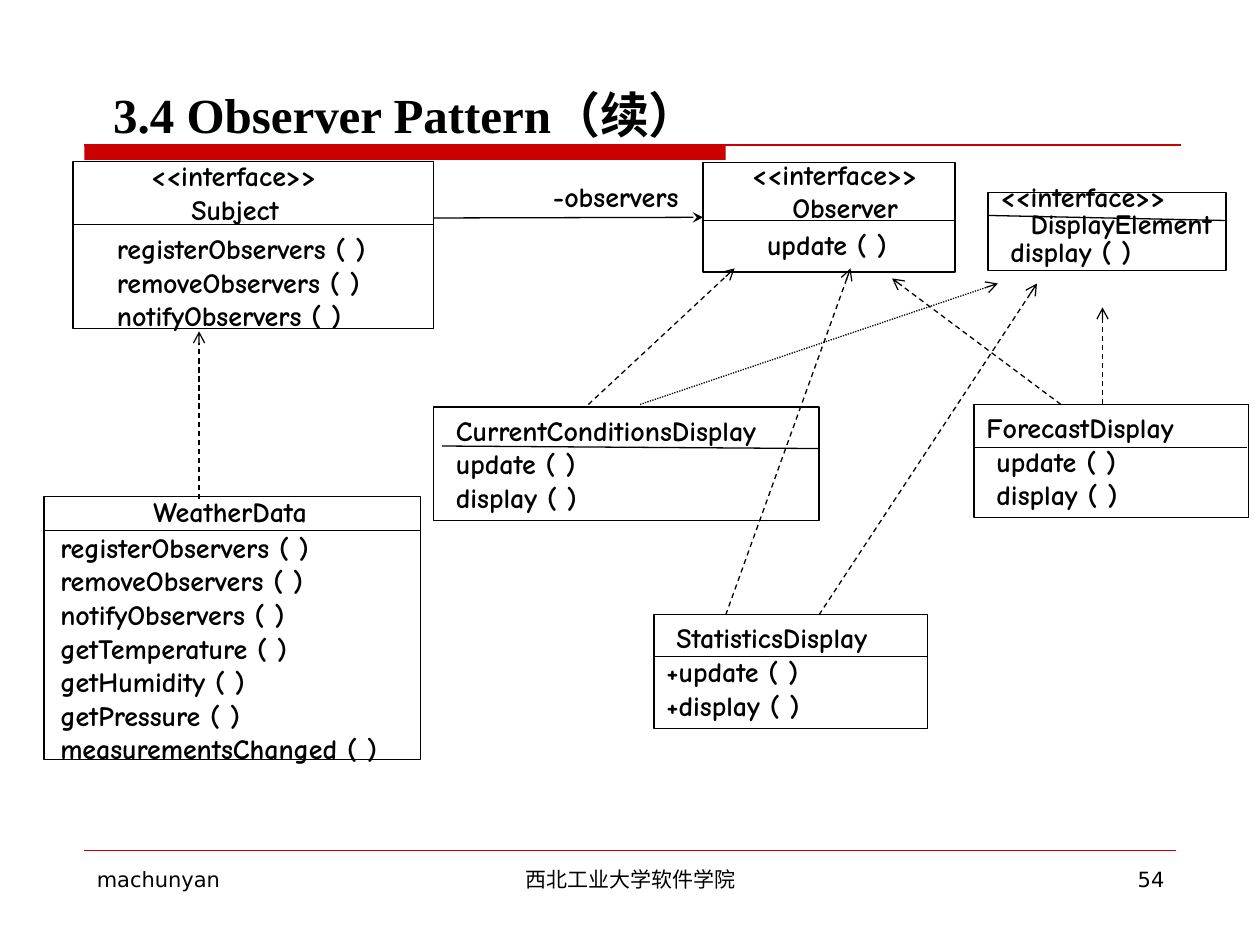
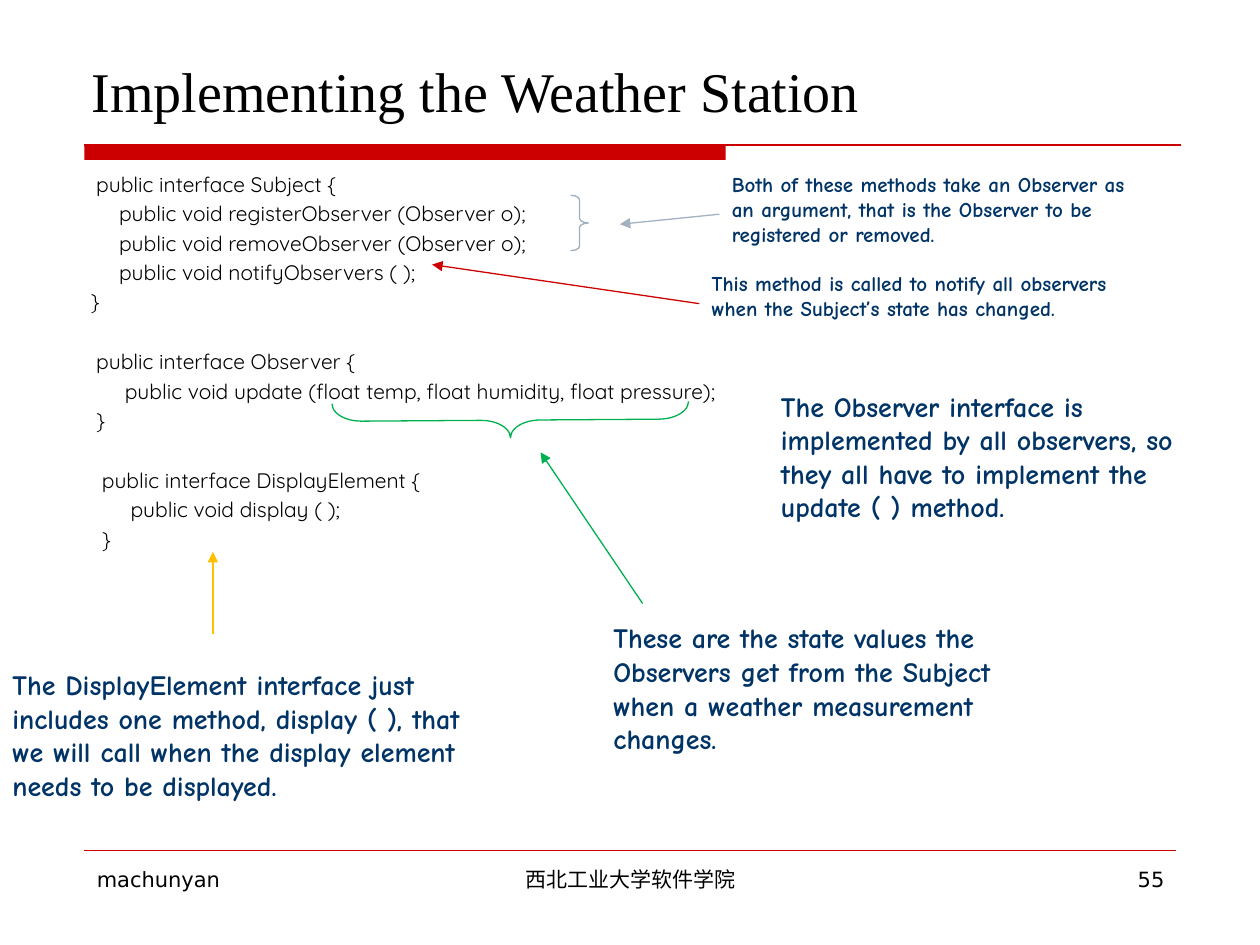
from lxml import etree
from pptx import Presentation
from pptx import util as u
from pptx.dml.color import RGBColor
from pptx.enum import dml, shapes, text
from pptx.oxml.ns import qn

BLACK = RGBColor(0, 0, 0)
WHITE = RGBColor(255, 255, 255)
RED = RGBColor(0xCC, 0, 0)
NAVY = RGBColor(0, 0x33, 0x66)
GREEN = RGBColor(0, 0xB0, 0x50)
AMBER = RGBColor(0xFF, 0xC0, 0)
GREY = RGBColor(0x9F, 0xAE, 0xBD)
SILVER = RGBColor(0xA3, 0xB2, 0xC1)

DASH = dml.MSO_LINE.DASH
DOT = dml.MSO_LINE.ROUND_DOT
ALIGN = text.PP_ALIGN
INDENT = 0.08

UML = dict(name="Comic Neue", size=16, bold=True, color=BLACK)
NOTE = dict(UML, color=NAVY)
CODE = dict(name="Quicksand", size=12, color=BLACK)
FOOT = dict(name="DejaVu Sans", size=12, color=BLACK)
TITLE = dict(name="Times New Roman", size=32, color=BLACK)


def inches(values):
    return [u.Inches(v) for v in values]


def style(font, fmt):
    for key, value in fmt.items():
        if key == "color":
            font.color.rgb = value
        else:
            setattr(font, key, u.Pt(value) if key == "size" else value)


def fill_text(tf, lines, fmt, para=None, anchor=text.MSO_ANCHOR.TOP):
    tf.word_wrap = True
    tf.vertical_anchor = anchor
    for i, (indent, line) in enumerate(lines):
        p = tf.paragraphs[0] if i == 0 else tf.add_paragraph()
        p.alignment = ALIGN.LEFT
        for key, value in (para or {}).items():
            if key != "space_before" or i:
                setattr(p, key, value)
        if indent:
            p._p.get_or_add_pPr().set("marL", str(u.Inches(indent * INDENT)))
        r = p.add_run()
        r.text = line
        style(r.font, fmt)


def add_text(s, box, lines, fmt, **options):
    sp = s.shapes.add_textbox(*inches(box))
    if isinstance(lines, str):
        lines = [(0, lines)]
    fill_text(sp.text_frame, lines, fmt, **options)


def add_shape(s, kind, box, line=None, fill=None):
    sp = s.shapes.add_shape(kind, *inches(box))
    sp.shadow.inherit = False
    if fill is None:
        sp.fill.background()
    else:
        sp.fill.solid()
        sp.fill.fore_color.rgb = fill
    if line is None:
        sp.line.fill.background()
    else:
        sp.line.color.rgb = line
        sp.line.width = u.Pt(0.75)
    return sp


def add_line(s, ends, color=BLACK, width=0.75, dash=None, head=None):
    cn = s.shapes.add_connector(shapes.MSO_CONNECTOR.STRAIGHT, *inches(ends))
    cn.line.color.rgb = color
    cn.line.width = u.Pt(width)
    if dash:
        cn.line.dash_style = dash
    if head:
        etree.SubElement(cn.line._get_or_add_ln(), qn("a:tailEnd"), type=head)
    etree.SubElement(cn._element.spPr, qn("a:effectLst"))
    return cn


def add_frame(s, number):
    add_shape(s, shapes.MSO_SHAPE.RECTANGLE, (0.67, 1.15, 5.09, 0.12), fill=RED)
    add_line(s, (0.67, 1.15, 9.37, 1.15), RED)
    add_line(s, (0.67, 6.75, 9.33, 6.75), RED, 0.25)
    footers = [
        (0.67, 2.17, "machunyan", ALIGN.LEFT),
        (3.42, 3.17, "西北工业大学软件学院", ALIGN.CENTER),
        (7.17, 2.17, str(number), ALIGN.RIGHT),
    ]
    for x, w, label, align in footers:
        add_text(s, (x, 6.83, w, 0.52), label, FOOT, para=dict(alignment=align))


def add_title(s, x, y, label, **changes):
    add_text(s, (x, y, 8.75, 0.9), label, dict(TITLE, **changes),
             anchor=text.MSO_ANCHOR.BOTTOM)


def class_box(s, box, rule, lines=(), parts=(), fill=None, para=None):
    x, y, w, h = box
    sp = add_shape(s, shapes.MSO_SHAPE.RECTANGLE, box, BLACK, fill)
    fill_text(sp.text_frame, lines, UML, para)
    x1, y1, x2, y2 = rule
    add_line(s, (x + x1, y + y1, x + x2, y + y2))
    for dx, dy, pw, ph, part in parts:
        add_text(s, (x + dx, y + dy, pw, ph), part, UML)
    return sp


def add_class_diagram(s):
    realizations = [
        (6.5, 4.88, 8.23, 2.25, DASH),
        (1.58, 3.96, 1.58, 2.63, DASH),
        (4.67, 3.21, 5.83, 2.13, DASH),
        (5.76, 4.88, 6.75, 2.13, DASH),
        (8.42, 3.21, 7.08, 2.21, DASH),
        (8.75, 3.21, 8.75, 2.44, DASH),
        (5.08, 3.21, 7.92, 2.25, DOT),
    ]
    for *ends, dash in realizations:
        add_line(s, ends, dash=dash, head="arrow")

    subject_methods = [(1, f"{verb}Observers ( )")
                       for verb in ("register", "remove", "notify")]
    weather_methods = subject_methods + [
        (1, f"{name} ( )") for name in
        ("getTemperature", "getHumidity", "getPressure", "measurementsChanged")]
    display_methods = [(1, "update ( )"), (1, "display ( )")]

    class_box(s, (0.58, 1.28, 2.86, 1.33), (0, 0.5, 2.86, 0.5), parts=[
        (0.52, -0.07, 1.7, 0.64, [(0, "<<interface>>"), (4, "Subject")]),
        (0.17, 0.51, 2.5, 0.9, subject_methods)])
    observer = class_box(s, (5.58, 1.29, 2, 0.87), (0, 0.46, 2, 0.46), parts=[
        (0.29, -0.09, 1.7, 0.64, [(0, "<<interface>>"), (4, "Observer")]),
        (0.25, 0.47, 1.5, 0.37, [(2, "update ( )")])])
    class_box(s, (0.35, 3.94, 2.99, 2.09), (0, 0.27, 2.99, 0.27), parts=[
        (0.77, -0.06, 1.6, 0.37, "WeatherData"),
        (-0.05, 0.22, 3.15, 1.97, weather_methods)])
    class_box(s, (3.44, 3.23, 3.06, 0.9), (0.07, 0.31, 3.06, 0.33),
              [(1, "CurrentConditionsDisplay")] + display_methods)
    class_box(s, (7.73, 3.21, 2.18, 0.9), (0, 0.34, 2.17, 0.34),
              [(0, "ForecastDisplay")] + display_methods, fill=WHITE)
    class_box(s, (5.19, 4.88, 2.17, 0.9), (0, 0.33, 2.17, 0.33),
              [(1, "StatisticsDisplay"), (0, "+update ( )"), (0, "+display ( )")])
    class_box(s, (7.84, 1.53, 1.89, 0.62), (0, 0.18, 1.89, 0.22),
              [(0, "<<interface>>"), (3, "DisplayElement"), (1, "display ( )")],
              para=dict(line_spacing=0.3, space_before=u.Pt(10)))

    association = add_line(s, (3.44, 1.73, 5.58, 1.72), head="stealth")
    association.end_connect(observer, 1)
    add_text(s, (4.29, 1.38, 1.3, 0.37), "-observers", UML)


def add_code(s, box):
    interfaces = [
        [" public interface Subject {",
         "     public void registerObserver (Observer o);",
         "     public void removeObserver (Observer o);",
         "     public void notifyObservers ( );",
         "}"],
        [" public interface Observer {",
         "      public void update (float temp, float humidity, float pressure);",
         " }"],
        ["  public interface DisplayElement {",
         "       public void display ( );",
         "  }"],
    ]
    sp = s.shapes.add_textbox(*inches(box))
    tf = sp.text_frame
    lines = [(0, line) for block in interfaces for line in block]
    fill_text(tf, lines, CODE, dict(space_before=u.Pt(2.4)))
    start = 0
    for block in interfaces[:-1]:
        start += len(block)
        tf.paragraphs[start].space_before = u.Pt(19.8)


def add_brace(s, box, color, rotation=0):
    sp = add_shape(s, shapes.MSO_SHAPE.RIGHT_BRACE, box, color)
    sp.adjustments[0] = box[3] / 12 / box[2]
    sp.rotation = rotation


def add_notes(s):
    add_brace(s, (4.53, 1.55, 0.14, 0.44), GREY)
    add_brace(s, (3.91, 1.92, 0.28, 2.83), GREEN, 89.6)
    pointers = [
        (5.71, 1.7, 4.92, 1.78, SILVER),
        (5.55, 2.41, 3.43, 2.1, RED),
        (5.1, 4.79, 4.29, 3.59, GREEN),
        (1.69, 5.03, 1.69, 4.38, AMBER),
    ]
    for *ends, color in pointers:
        add_line(s, ends, color, head="triangle")
    notes = [
        (5.71, 1.31, 3.47, 0.7, 12, "Both of these methods take an Observer as an "
         "argument, that is the Observer to be registered or removed."),
        (5.55, 2.1, 3.47, 0.5, 12, "This method is called to notify all observers "
         "when the Subject’s state has changed."),
        (6.1, 3.04, 3.47, 1.17, 16, "The Observer interface is implemented by all "
         "observers, so they all have to implement the update ( ) method."),
        (4.77, 4.88, 3.69, 1.17, 16, "These are the state values the Observers get "
         "from the Subject when a weather measurement changes."),
        (0, 5.25, 3.79, 1.17, 16, "The DisplayElement interface just includes one "
         "method, display ( ), that we will call when the display element needs "
         "to be displayed."),
    ]
    for *box, size, note in notes:
        add_text(s, box, note, dict(NOTE, size=size))


def pattern_slide(prs):
    s = prs.slides.add_slide(prs.slide_layouts[6])
    add_frame(s, 54)
    add_class_diagram(s)
    add_title(s, 0.8, 0.29, "3.4 Observer Pattern（续）", size=28, bold=True)


def code_slide(prs):
    s = prs.slides.add_slide(prs.slide_layouts[6])
    add_frame(s, 55)
    add_title(s, 0.63, 0.13, "Implementing the Weather Station")
    add_code(s, (0.62, 1.31, 8.75, 5.27))
    add_notes(s)


def main():
    prs = Presentation()
    prs.slide_width, prs.slide_height = inches((10, 7.5))
    pattern_slide(prs)
    code_slide(prs)
    prs.save("out.pptx")


if __name__ == "__main__":
    main()
